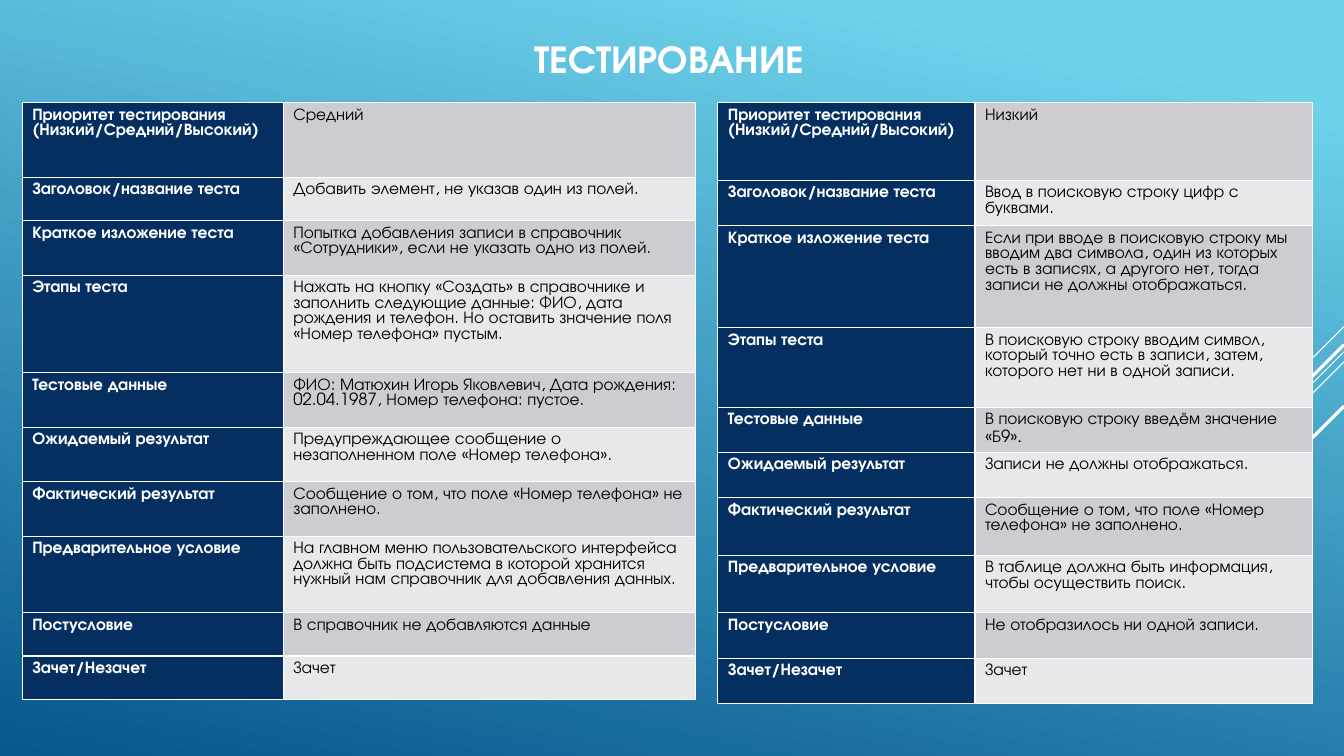
from lxml.etree import SubElement
from pptx import Presentation
from pptx.dml.color import RGBColor
from pptx.enum.shapes import MSO_CONNECTOR as Connector
from pptx.enum.text import MSO_ANCHOR as Anchor, PP_ALIGN as Align
from pptx.oxml.ns import qn
from pptx.util import Inches, Pt

WHITE = RGBColor(0xFF, 0xFF, 0xFF)
BLACK = RGBColor(0x00, 0x00, 0x00)
NAVY = RGBColor(0x05, 0x2F, 0x61)
GRAY = RGBColor(0xCC, 0xCD, 0xD2)
PALE = RGBColor(0xE7, 0xE8, 0xEA)
SKY = RGBColor(0x6E, 0xD2, 0xEB)
OCEAN = RGBColor(0x06, 0x58, 0x8E)

FONT = "TeX Gyre Adventor"
TITLE_FONT = {"name": FONT, "size": Pt(28), "bold": True}
LABEL_FONT = {"name": FONT, "size": Pt(12), "bold": True}
VALUE_FONT = {"name": FONT, "size": Pt(12), "bold": False}

SLIDE_W = 13.33
STRIPES = [(3.24, 1, 0.75), (3.49, 3.26, 0.75), (3.59, 2.07, 0.75),
           (3.42, 1.91, 2.25), (4.03, 1.39, 2.25)]

LABELS = [
    "Приоритет тестирования\n(Низкий/Средний/Высокий)",
    "Заголовок/название теста",
    "Краткое изложение теста",
    "Этапы теста",
    "Тестовые данные",
    "Ожидаемый результат",
    "Фактический результат",
    "Предварительное условие",
    "Постусловие",
    "Зачет/Незачет",
]
ADD_TEST = [
    (0.74, "Средний"),
    (0.43, "Добавить элемент, не указав один из полей."),
    (0.54, "Попытка добавления записи в справочник «Сотрудники», "
           "если не указать одно из полей."),
    (0.97, "Нажать на кнопку «Создать» в справочнике и заполнить следующие "
           "данные: ФИО, дата рождения и телефон. Но оставить значение поля "
           "«Номер телефона» пустым."),
    (0.54, "ФИО: Матюхин Игорь Яковлевич, Дата рождения: 02.04.1987, "
           "Номер телефона: пустое."),
    (0.54, "Предупреждающее сообщение о незаполненном поле «Номер телефона»."),
    (0.54, "Сообщение о том, что поле «Номер телефона» не заполнено."),
    (0.76, "На главном меню пользовательского интерфейса должна быть "
           "подсистема в которой хранится нужный нам справочник для "
           "добавления данных."),
    (0.43, "В справочник не добавляются данные"),
    (0.43, "Зачет"),
]
SEARCH_TEST = [
    (0.77, "Низкий"),
    (0.45, "Ввод в поисковую строку цифр с буквами."),
    (1.01, "Если при вводе в поисковую строку мы вводим два символа, один из "
           "которых есть в записях, а другого нет, тогда записи не должны "
           "отображаться."),
    (0.79, "В поисковую строку вводим символ, который точно есть в записи, "
           "затем, которого нет ни в одной записи."),
    (0.45, "В поисковую строку введём значение «Б9»"),
    (0.45, "Записи не должны отображаться."),
    (0.57, "Сообщение о том, что поле «Номер телефона» не заполнено."),
    (0.57, "В таблице должна быть информация, чтобы осуществить поиск."),
    (0.45, "Не отобразилось ни одной записи."),
    (0.45, "Зачет"),
]


def set_font(font, formats, color):
    for name, value in formats.items():
        setattr(font, name, value)
    font.color.rgb = color


def paint_background(slide):
    fill = slide.background.fill
    fill.gradient()
    fill.gradient_angle = 360 - 102
    for stop, color, position in zip(fill.gradient_stops, (SKY, OCEAN), (0.1, 1)):
        stop.color.rgb = color
        stop.position = position


def add_stripe(slide, top, length, width):
    line = slide.shapes.add_connector(
        Connector.STRAIGHT, Inches(SLIDE_W), Inches(top),
        Inches(SLIDE_W - length), Inches(top + length))
    line.line.color.rgb = WHITE
    line.line.width = Pt(width)
    SubElement(line._element.spPr, qn("a:effectLst"))


def set_title(slide, text):
    sp = slide.shapes.title
    sp.left, sp.top, sp.width, sp.height = map(Inches, (3.7, 0.24, 5.88, 0.66))
    tf = sp.text_frame
    tf.text = text
    tf.vertical_anchor = Anchor.MIDDLE
    p = tf.paragraphs[0]
    p.alignment = Align.CENTER
    set_font(p.runs[0].font, TITLE_FONT, WHITE)


def add_borders(cell):
    tc_pr = cell._tc.get_or_add_tcPr()
    for i, side in enumerate(("a:lnL", "a:lnR", "a:lnT", "a:lnB")):
        ln = tc_pr.makeelement(qn(side), {"w": str(Pt(1))})
        fill = SubElement(ln, qn("a:solidFill"))
        SubElement(fill, qn("a:srgbClr"), val=str(WHITE))
        tc_pr.insert(i, ln)


def fill_cell(cell, text, formats, color, fill):
    cell.text = text
    for p in cell.text_frame.paragraphs:
        for r in p.runs:
            set_font(r.font, formats, color)
    cell.fill.solid()
    cell.fill.fore_color.rgb = fill
    add_borders(cell)


def add_test_table(slide, left, col_widths, rows):
    height = sum(h for h, _ in rows)
    table = slide.shapes.add_table(
        len(rows), 2, Inches(left), Inches(1.02),
        Inches(sum(col_widths)), Inches(height)).table
    table.first_row = table.horz_banding = False
    for column, width in zip(table.columns, col_widths):
        column.width = Inches(width)
    for i, (label, (row_height, value)) in enumerate(zip(LABELS, rows)):
        table.rows[i].height = Inches(row_height)
        fill_cell(table.cell(i, 0), label, LABEL_FONT, WHITE, NAVY)
        fill_cell(table.cell(i, 1), value, VALUE_FONT, BLACK, PALE if i % 2 else GRAY)
    return table


def main():
    prs = Presentation()
    prs.slide_width, prs.slide_height = Inches(SLIDE_W), Inches(7.5)
    slide = prs.slides.add_slide(prs.slide_layouts[5])
    paint_background(slide)
    for stripe in STRIPES:
        add_stripe(slide, *stripe)
    set_title(slide, "ТЕСТИРОВАНИЕ")
    add_test_table(slide, 0.22, (2.59, 4.09), ADD_TEST)
    search = add_test_table(slide, 7.12, (2.55, 3.35), SEARCH_TEST)
    r = search.cell(LABELS.index("Тестовые данные"), 1).text_frame.paragraphs[0].add_run()
    r.text = "."
    set_font(r.font, {**VALUE_FONT, "name": "Times New Roman"}, BLACK)
    prs.save("out.pptx")


if __name__ == "__main__":
    main()
